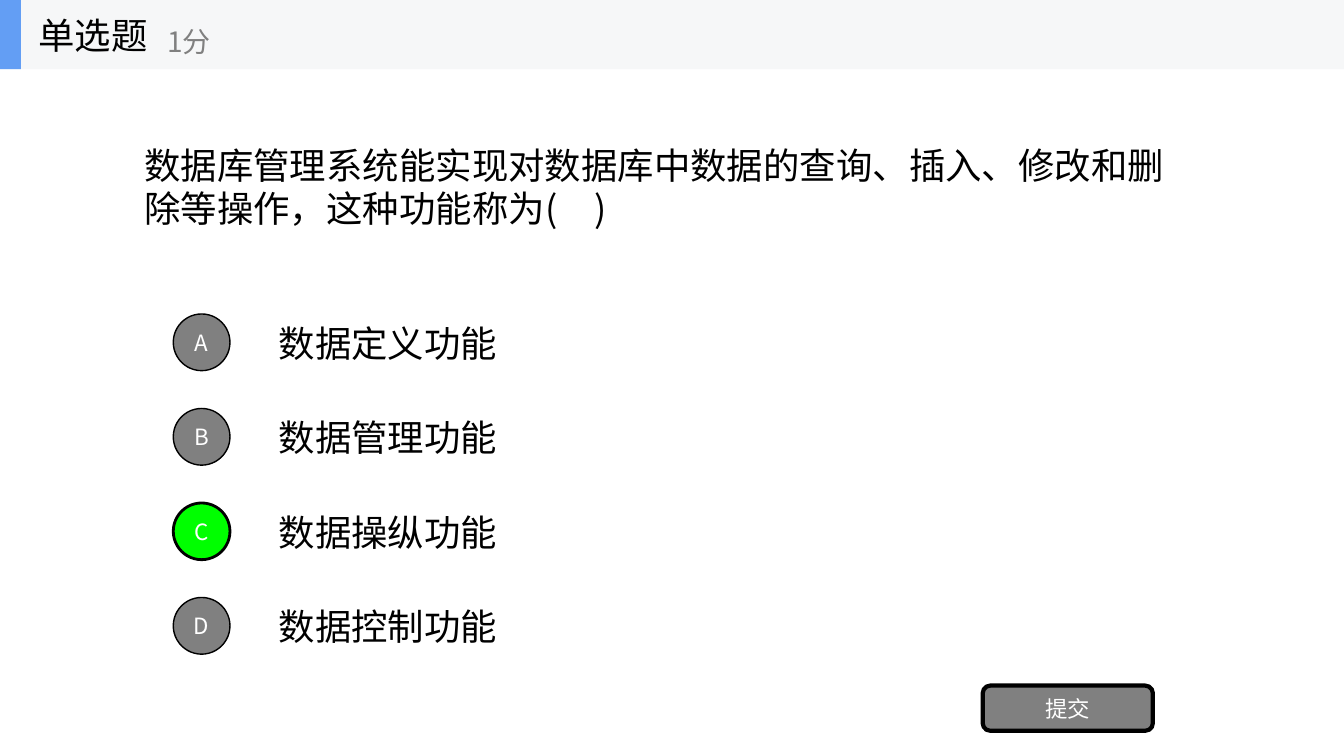
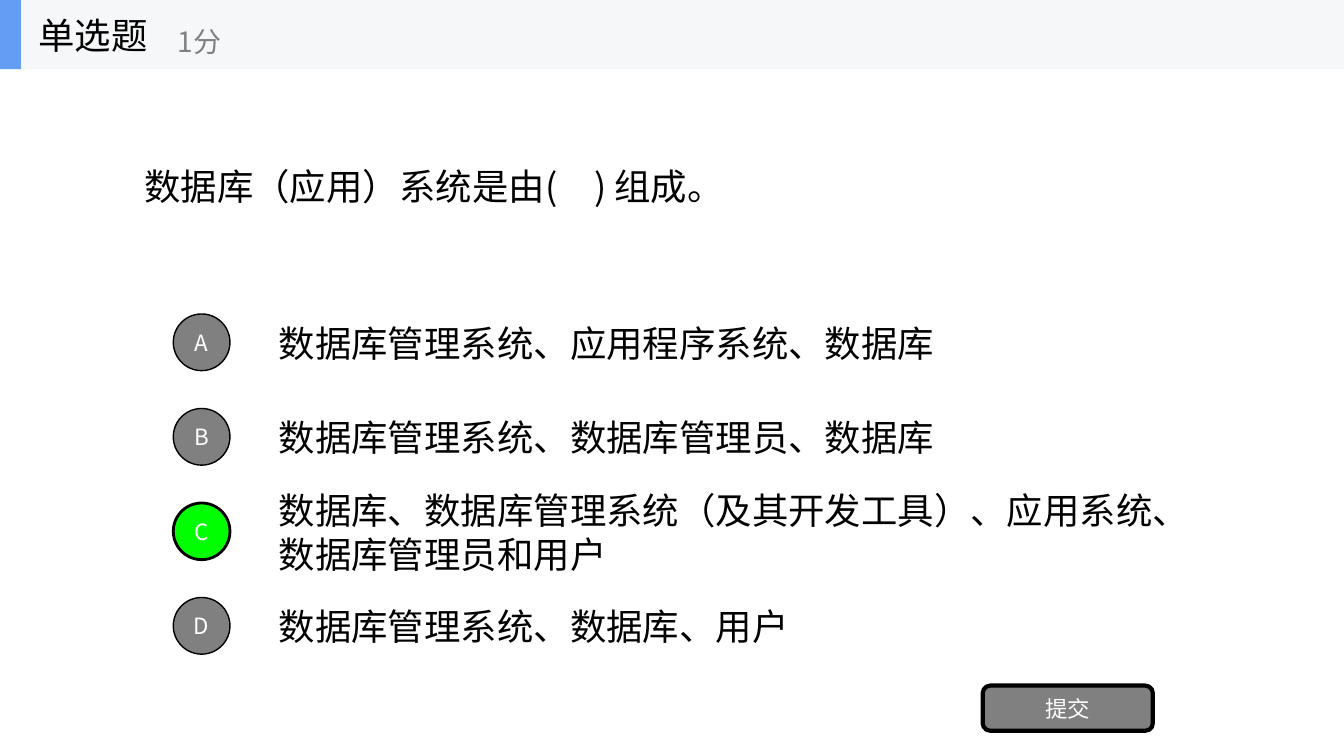
from lxml import etree
from pptx import Presentation, util as u
from pptx.dml.color import RGBColor
from pptx.enum import shapes as sh, text as tx
from pptx.oxml.ns import qn

PX = 9525
FONT = "Noto Sans CJK SC"
COLORS = {
    "ink": "000000",
    "white": "FFFFFF",
    "gray": "808080",
    "right": "00FF00",
    "band": "F6F7F8",
    "accent": "639EF4",
}
KIND = sh.MSO_SHAPE
ALIGN = tx.PP_ALIGN


def color(name):
    return RGBColor.from_string(COLORS[name])


def write(shape, words, size=26, ink="ink", align=ALIGN.LEFT):
    frame = shape.text_frame
    frame.word_wrap = True
    frame.vertical_anchor = tx.MSO_ANCHOR.MIDDLE
    para = frame.paragraphs[0]
    para.alignment = align
    run = para.add_run()
    run.text = words
    run.font.size = u.Pt(size)
    run.font.name = FONT
    run.font.color.rgb = color(ink)
    east = etree.SubElement(run.font._element, qn("a:ea"))
    east.set("typeface", FONT)


class Quiz:
    def __init__(self):
        self.deck = Presentation()
        self.deck.slide_width = 1280 * PX
        self.deck.slide_height = 720 * PX
        self.home = None

    def label(self, words, *box, **style):
        area = self.home.add_textbox(*(n * PX for n in box))
        write(area, words, **style)

    def shape(self, kind, fill, *box, line=0, words=""):
        item = self.home.add_shape(kind, *(n * PX for n in box))
        item.shadow.inherit = False
        item.fill.solid()
        item.fill.fore_color.rgb = color(fill)
        if line:
            item.line.color.rgb = color("ink")
            item.line.width = u.Pt(line)
        else:
            item.line.fill.background()
        if words:
            write(item, words, size=16, ink="white", align=ALIGN.CENTER)

    def options(self, choices, answer):
        for row, words in enumerate(choices):
            self.label(words, 256, 293 + 90 * row, 896, 67)
        for row, letter in enumerate("ABCD"):
            hit = letter == answer
            self.shape(KIND.OVAL, "right" if hit else "gray",
                       165, 299 + 90 * row, 54, 54,
                       line=2 if hit else 1, words=letter)

    def header(self, left):
        self.home = self.home.add_group_shape().shapes
        self.shape(KIND.RECTANGLE, "band", 0, 0, 1280, 66)
        self.shape(KIND.RECTANGLE, "accent", 0, 0, 20, 66)
        self.label("单选题", 27, 0, 200, 66)
        self.label("1分", left, 12, 240, 54, size=20, ink="gray")

    def page(self, ask, choices, answer, left):
        slide = self.deck.slides.add_slide(self.deck.slide_layouts[6])
        self.home = slide.shapes
        self.label(ask, 128, 65, 1024, 225)
        self.options(choices, answer)
        self.shape(KIND.ROUNDED_RECTANGLE, "gray", 936, 653, 162, 43,
                   line=3, words="提交")
        self.header(left)


def main():
    quiz = Quiz()
    quiz.page(
        "数据库管理系统能实现对数据库中数据的查询、插入、修改和删除等操作，这种功能称为(　)",
        ["数据定义功能", "数据管理功能", "数据操纵功能", "数据控制功能"],
        "C", 150)
    quiz.page(
        "数据库（应用）系统是由(　) 组成。",
        ["数据库管理系统、应用程序系统、数据库",
         "数据库管理系统、数据库管理员、数据库",
         "数据库、数据库管理系统（及其开发工具）、应用系统、数据库管理员和用户",
         "数据库管理系统、数据库、用户"],
        "C", 160)
    quiz.deck.save("out.pptx")


if __name__ == "__main__":
    main()
